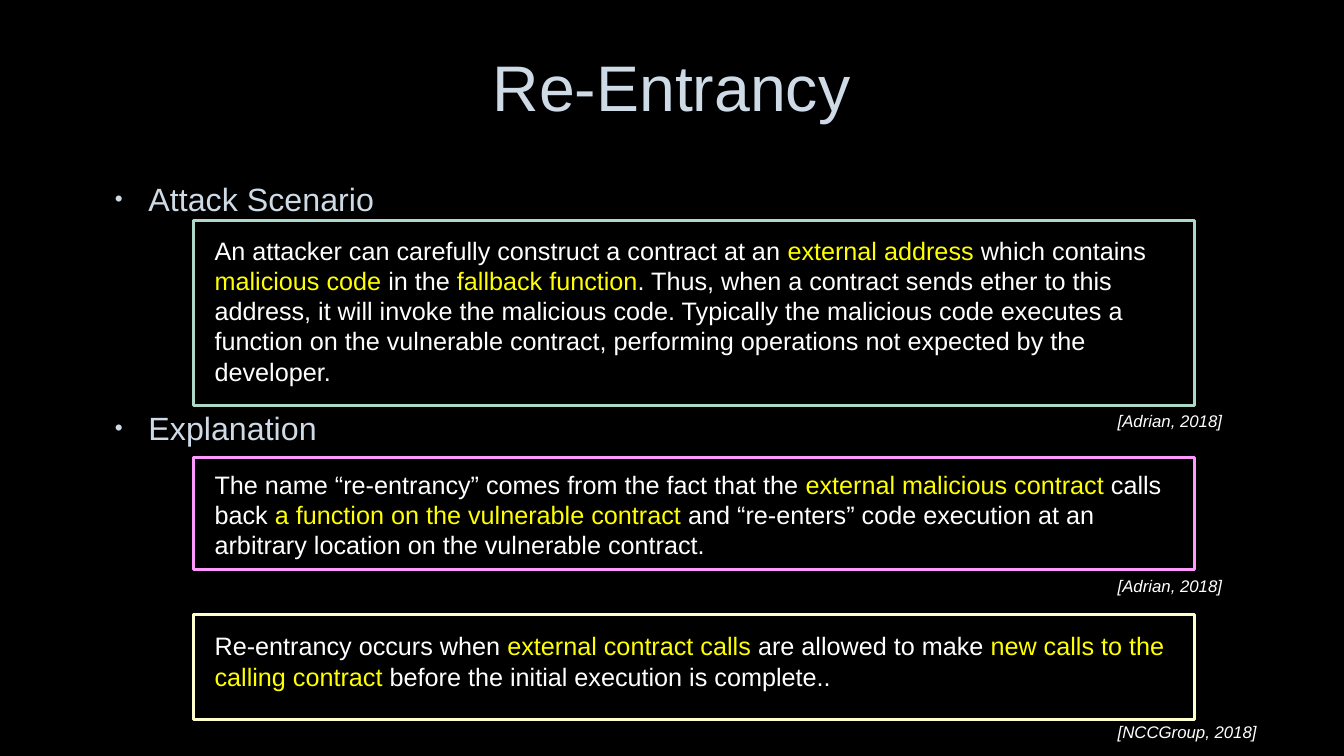
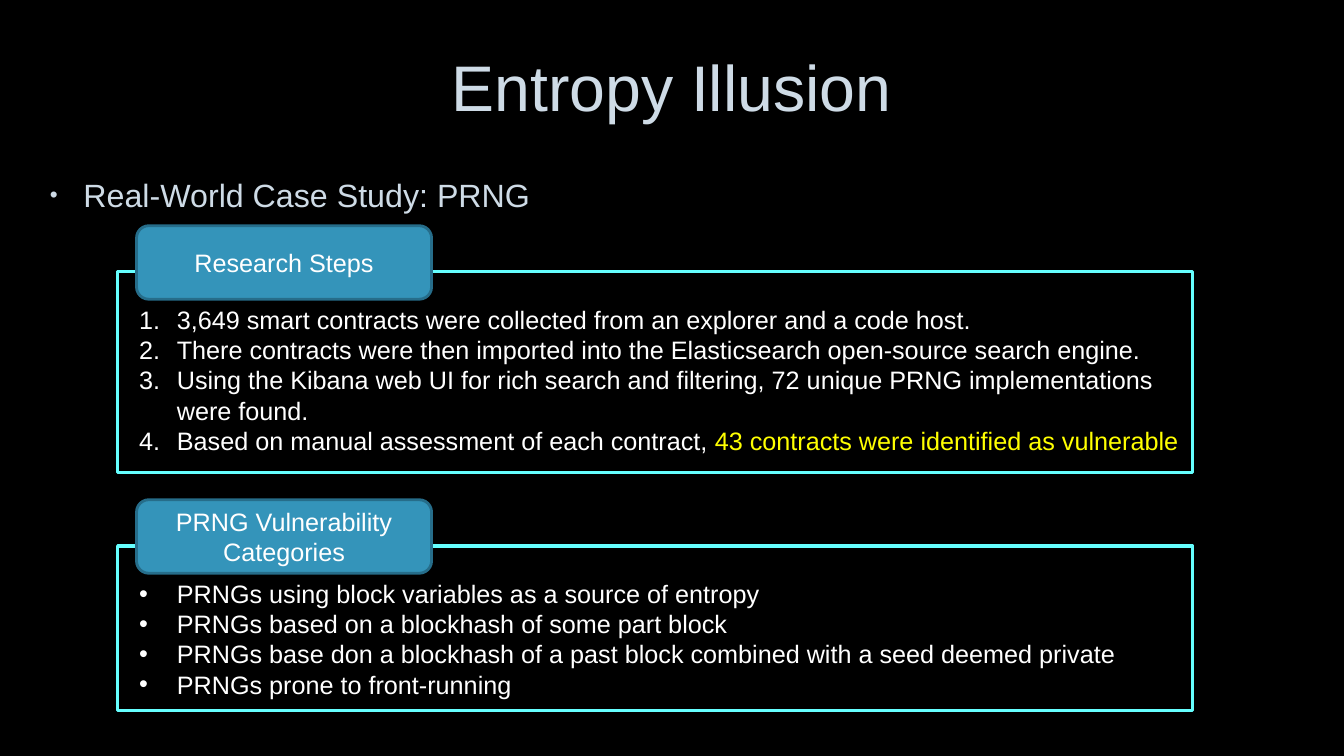
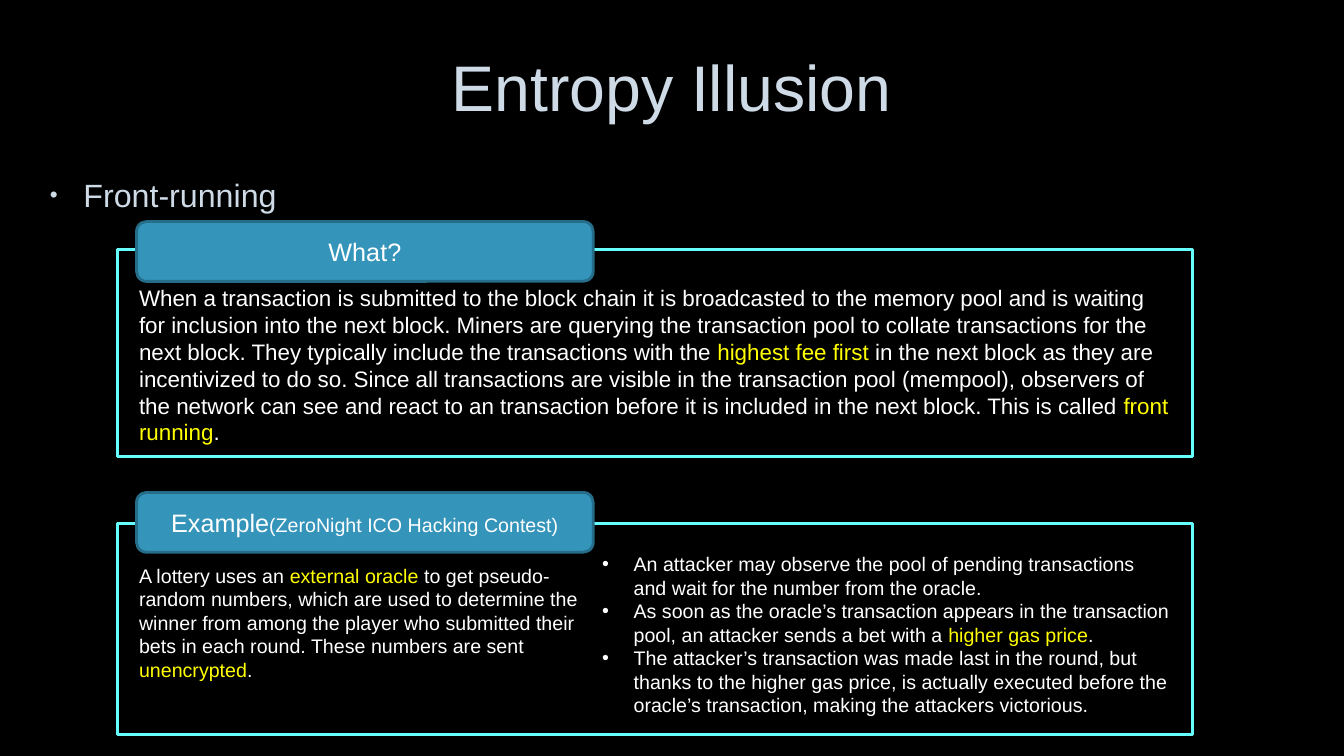
from dataclasses import dataclass

from lxml.etree import SubElement
from pptx import Presentation
from pptx.dml.color import RGBColor
from pptx.enum.shapes import MSO_SHAPE as Shape
from pptx.enum.text import MSO_ANCHOR as Anchor, MSO_AUTO_SIZE as AutoSize, PP_ALIGN as Align
from pptx.oxml.ns import qn
from pptx.util import Emu, Pt

EMU_PER_PX = 9525
TITLE_ONLY = 5


@dataclass(frozen=True)
class Theme:
    font: str = "Arial"
    background: str = "000000"
    heading: str = "CEDBE6"
    text: str = "FFFFFF"
    highlight: str = "FFFF00"
    green: str = "ACD7CA"
    pink: str = "FF99FF"
    cream: str = "FFFFCC"
    cyan: str = "66FFFF"
    tab_fill: str = "3494BA"
    tab_line: str = "266D8A"
    title_size: int = 46
    heading_size: int = 23
    body_size: int = 18
    text_size: int = 16
    small_size: int = 14
    citation_size: int = 12
    panel_line: float = 2.25
    tab_line_width: float = 2


THEME = Theme()


def px(value):
    return Emu(round(value * EMU_PER_PX))


def box(left, top, width, height):
    return px(left), px(top), px(width), px(height)


def color(value):
    return RGBColor.from_string(value)


# Text

def add_run(paragraph, text, size, fill=THEME.text, italic=False):
    run = paragraph.add_run()
    run.text = text
    run.font.name = THEME.font
    run.font.size = Pt(size)
    run.font.italic = italic
    run.font.color.rgb = color(fill)


def add_marked_runs(paragraph, text, size):
    """Add text in which the parts between bars are highlighted."""
    for index, piece in enumerate(text.split("|")):
        if piece:
            add_run(paragraph, piece, size, THEME.highlight if index % 2 else THEME.text)


def set_marker(paragraph, indent, hanging, numbered=False, fill=None, percent=None):
    properties = paragraph._p.get_or_add_pPr()
    properties.set("marL", str(px(indent)))
    properties.set("indent", str(-px(hanging)))
    if fill:
        SubElement(SubElement(properties, qn("a:buClr")), qn("a:srgbClr"), val=fill)
    if percent:
        SubElement(properties, qn("a:buSzPct"), val=str(percent * 1000))
    SubElement(properties, qn("a:buFont"), typeface=THEME.font)
    if numbered:
        SubElement(properties, qn("a:buAutoNum"), type="arabicPeriod")
    else:
        SubElement(properties, qn("a:buChar"), char="•")


def add_text_frame(slide, *area):
    frame = slide.shapes.add_textbox(*box(*area)).text_frame
    frame.word_wrap = True
    return frame


def add_text(slide, area, text, size=THEME.body_size):
    add_marked_runs(add_text_frame(slide, *area).paragraphs[0], text, size)


def add_list(slide, area, items, size=THEME.body_size, indent=36, numbered=False):
    frame = add_text_frame(slide, *area)
    for index, item in enumerate(items):
        paragraph = frame.add_paragraph() if index else frame.paragraphs[0]
        set_marker(paragraph, indent, indent, numbered)
        add_marked_runs(paragraph, item, size)


def add_heading(slide, left, top, text):
    paragraph = add_text_frame(slide, left, top, 768, 48).paragraphs[0]
    set_marker(paragraph, 36, 32, fill=THEME.heading, percent=70)
    add_run(paragraph, text, THEME.heading_size, THEME.heading)


def add_citation(slide, top, text):
    paragraph = add_text_frame(slide, 1055, top, 164, 29).paragraphs[0]
    add_run(paragraph, text, THEME.citation_size, italic=True)


# Shapes

def add_panel(slide, area, line):
    panel = slide.shapes.add_shape(Shape.RECTANGLE, *box(*area))
    panel.shadow.inherit = False
    panel.fill.background()
    panel.line.color.rgb = color(line)
    panel.line.width = Pt(THEME.panel_line)


def add_tab(slide, area, label, detail=""):
    tab = slide.shapes.add_shape(Shape.ROUNDED_RECTANGLE, *box(*area))
    tab.shadow.inherit = False
    tab.fill.solid()
    tab.fill.fore_color.rgb = color(THEME.tab_fill)
    tab.line.color.rgb = color(THEME.tab_line)
    tab.line.width = Pt(THEME.tab_line_width)
    tab.text_frame.word_wrap = True
    tab.text_frame.vertical_anchor = Anchor.MIDDLE
    paragraph = tab.text_frame.paragraphs[0]
    paragraph.alignment = Align.CENTER
    add_run(paragraph, label, THEME.body_size)
    if detail:
        add_run(paragraph, detail, THEME.small_size)


def add_tabbed_panel(slide, top, height, tab_top, tab_size, label, detail=""):
    add_panel(slide, (112, top, 1024, height), THEME.cyan)
    add_tab(slide, (130, tab_top, *tab_size), label, detail)


# Slides

def add_titled_slide(presentation, text):
    slide = presentation.slides.add_slide(presentation.slide_layouts[TITLE_ONLY])
    title = slide.shapes.title
    title.left, title.top, title.width, title.height = box(96, 20, 1087, 132)
    frame = title.text_frame
    frame.auto_size = AutoSize.NONE
    frame.word_wrap = True
    frame.vertical_anchor = Anchor.MIDDLE
    paragraph = frame.paragraphs[0]
    paragraph.alignment = Align.CENTER
    paragraph.line_spacing = 0.9
    add_run(paragraph, text, THEME.title_size, THEME.heading)
    return slide


def build_reentrancy(presentation):
    slide = add_titled_slide(presentation, "Re-Entrancy")
    add_heading(slide, 96, 166, "Attack Scenario")
    add_heading(slide, 96, 384, "Explanation")

    # Panel top and height, text top and height, line colour, text, citation top and text
    quotes = [
        (210, 176, 219, 156, THEME.green,
         "An attacker can carefully construct a contract at an |external address| which contains "
         "|malicious code| in the |fallback function|. Thus, when a contract sends ether to this "
         "address, it will invoke the malicious code. Typically the malicious code executes a "
         "function on the vulnerable contract, performing operations not expected by the developer.",
         386, "[Adrian, 2018]"),
        (436, 106, 442, 97, THEME.pink,
         "The name “re-entrancy” comes from the fact that the |external malicious contract |calls "
         "back |a function on the vulnerable contract |and “re-enters” code execution at an "
         "arbitrary location on the vulnerable contract.",
         544, "[Adrian, 2018]"),
        (585, 100, 596, 68, THEME.cream,
         "Re-entrancy occurs when |external contract calls |are allowed to make |new calls to the "
         "calling contract| before the initial execution is complete..",
         683, "[NCCGroup, 2018]"),
    ]
    for top, height, text_top, text_height, line, text, citation_top, citation in quotes:
        add_panel(slide, (184, top, 954, height), line)
        add_text(slide, (195, text_top, 929, text_height), text)
        add_citation(slide, citation_top, citation)


def build_case_study(presentation):
    slide = add_titled_slide(presentation, "Entropy Illusion")
    add_heading(slide, 34, 162, "Real-World Case Study: PRNG")
    tab_size = (281, 70)

    add_tabbed_panel(slide, 259, 191, 215, tab_size, "Research Steps")
    add_list(slide, (123, 285, 1014, 156), [
        "3,649 smart contracts were collected from an explorer and a code host.",
        "There contracts were then imported into the Elasticsearch open-source search engine.",
        "Using the Kibana web UI for rich search and filtering, 72 unique PRNG implementations "
        "were found.",
        "Based on manual assessment of each contract, |43 contracts were identified as vulnerable",
    ], numbered=True)

    add_tabbed_panel(slide, 520, 157, 476, tab_size, "PRNG Vulnerability Categories")
    add_list(slide, (123, 546, 1014, 126), [
        "PRNGs using block variables as a source of entropy",
        "PRNGs based on a blockhash of some part block",
        "PRNGs base don a blockhash of a past block combined with a seed deemed private",
        "PRNGs prone to front-running",
    ])


def build_front_running(presentation):
    slide = add_titled_slide(presentation, "Entropy Illusion")
    add_heading(slide, 34, 162, "Front-running")
    tab_size = (435, 57)

    add_tabbed_panel(slide, 238, 197, 211, tab_size, "What?")
    add_text(
        slide, (123, 266, 1001, 165),
        "When a transaction is submitted to the block chain it is broadcasted to the memory pool "
        "and is waiting for inclusion into the next block. Miners are querying the transaction "
        "pool to collate transactions for the next block. They typically include the transactions "
        "with the |highest fee first |in the next block as they are incentivized to do so. Since "
        "all transactions are visible in the transaction pool (mempool), observers of the network "
        "can see and react to an transaction before it is included in the next block. This is "
        "called |front running|.",
        THEME.text_size)

    add_tabbed_panel(slide, 499, 201, 469, tab_size,
                     "Example", "(ZeroNight ICO Hacking Contest)")
    add_text(
        slide, (123, 532, 441, 123),
        "A lottery uses an |external oracle |to get pseudo-random numbers, which are used to "
        "determine the winner from among the player who submitted their bets in each round. "
        "These numbers are sent |unencrypted|.",
        THEME.small_size)
    add_list(slide, (564, 521, 560, 168), [
        "An attacker may observe the pool of pending transactions and wait for the number from "
        "the oracle.",
        "As soon as the oracle’s transaction appears in the transaction pool, an attacker sends a "
        "bet with a |higher gas price|.",
        "The attacker’s transaction was made last in the round, but thanks to the higher gas "
        "price, is actually executed before the oracle’s transaction, making the attackers "
        "victorious.",
    ], THEME.small_size, indent=30)


def main():
    presentation = Presentation()
    presentation.slide_width, presentation.slide_height = px(1280), px(720)
    background = presentation.slide_master.background.fill
    background.solid()
    background.fore_color.rgb = color(THEME.background)

    build_reentrancy(presentation)
    build_case_study(presentation)
    build_front_running(presentation)
    presentation.save("out.pptx")


if __name__ == "__main__":
    main()
